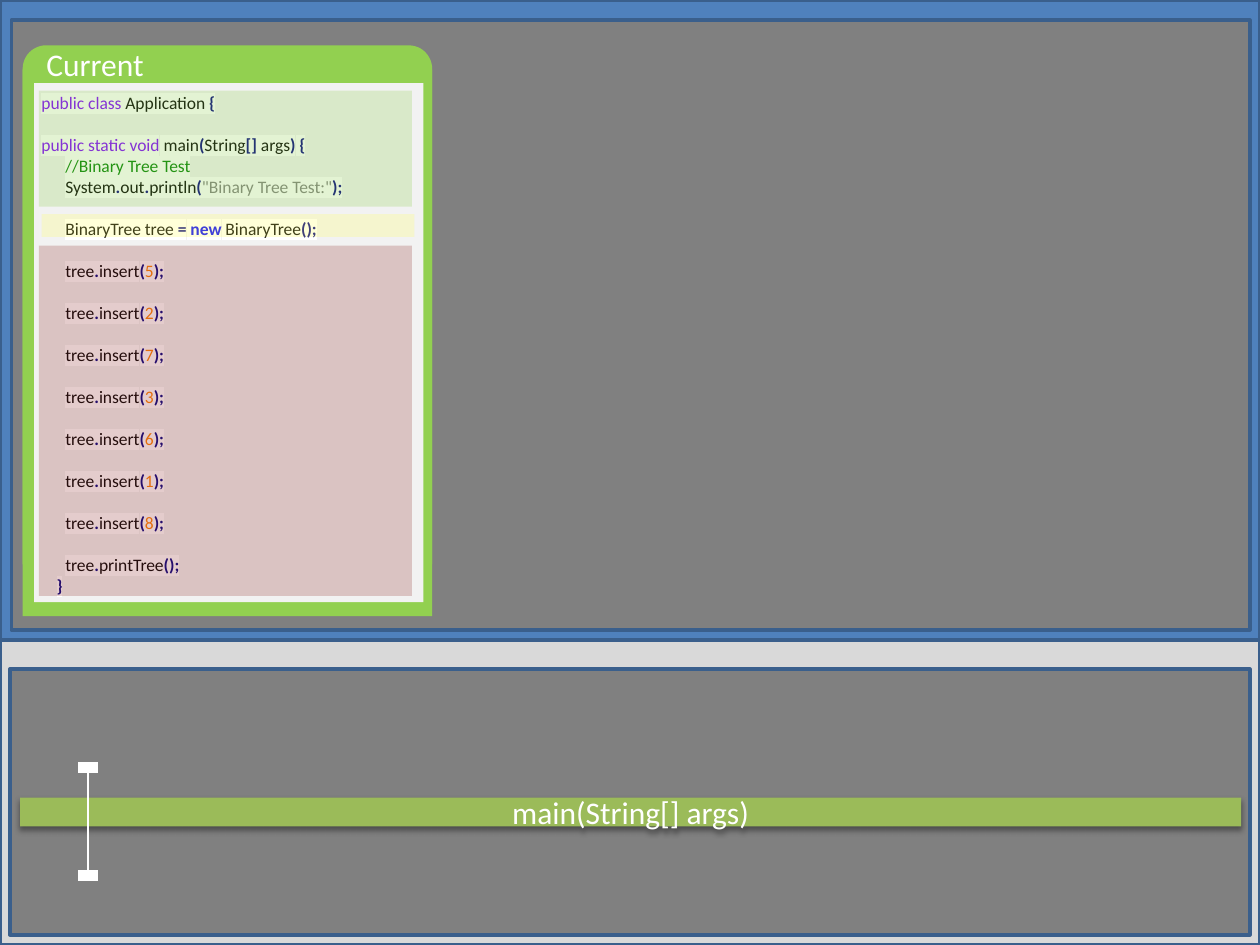
import pptx
import pptx.dml.color
import pptx.enum.shapes
import pptx.enum.text
import pptx.oxml
import pptx.oxml.ns
import pptx.util
from lxml import etree

Inches, Pt = pptx.util.Inches, pptx.util.Pt
SHAPE = pptx.enum.shapes.MSO_SHAPE
ALIGN = pptx.enum.text.PP_ALIGN
ANCHOR = pptx.enum.text.MSO_ANCHOR
qn = pptx.oxml.ns.qn

BORDER, GRAY, GREEN, WHITE = "3A5F8C", "808080", "92D050", "FFFFFF"

# Syntax colours: style -> (colour, bold)
SYNTAX = {
    "plain": ("000000", False),
    "keyword": ("8000FF", False),
    "new": ("0000FF", True),
    "op": ("000080", True),
    "number": ("FF8000", False),
    "string": ("808080", False),
    "comment": ("008000", False),
}


def color(value):
    return pptx.dml.color.RGBColor.from_string(value)


def add_xml_color(parent, value, alpha=None):
    clr = etree.SubElement(parent, qn("a:srgbClr"), val=value)
    if alpha is not None:
        etree.SubElement(clr, qn("a:alpha"), val=str(alpha * 1000))


def add_box(shapes, at, fill, line=None, alpha=None, kind=SHAPE.RECTANGLE):
    sp = shapes.add_shape(kind, *[Inches(v) for v in at])
    sp.shadow.inherit = False
    sp.fill.solid()
    sp.fill.fore_color.rgb = color(fill)
    if alpha is not None:
        clr = sp._element.spPr.find(qn("a:solidFill"))[0]
        etree.SubElement(clr, qn("a:alpha"), val=str(alpha * 1000))
    if line:
        sp.line.color.rgb = color(line)
        sp.line.width = Pt(2)
    else:
        sp.line.fill.background()
    return sp


def add_line(shapes, start, end, width):
    cx = shapes.add_connector(pptx.enum.shapes.MSO_CONNECTOR.STRAIGHT,
                              *[Inches(v) for v in start + end])
    cx.line.color.rgb = color(WHITE)
    cx.line.width = Pt(width)
    etree.SubElement(cx._element.spPr, qn("a:effectLst"))


def add_run(p, text, size=18, fill=WHITE, bold=False, highlight=None):
    r = p.add_run()
    r.text = text
    r.font.name = "Calibri"
    r.font.size = Pt(size)
    r.font.bold = bold
    r.font.color.rgb = color(fill)
    if highlight:
        hl = pptx.oxml.parse_xml(
            '<a:highlight xmlns:a="http://schemas.openxmlformats.org/drawingml/2006/main"/>')
        add_xml_color(hl, highlight)
        r.font._element.find(qn("a:solidFill")).addnext(hl)


def add_textbox(shapes, at):
    tf = shapes.add_textbox(*[Inches(v) for v in at]).text_frame
    tf.word_wrap = True
    return tf


def add_shadow(sp):
    effects = sp._element.spPr.find(qn("a:effectLst"))
    shadow = etree.SubElement(effects, qn("a:outerShdw"), blurRad=str(Pt(3.1)),
                              dist=str(Pt(1.6)), dir="5400000", rotWithShape="0")
    add_xml_color(shadow, "000000", 38)


def call(name, number=None):
    """Tokens of one call on the tree."""
    tokens = [("plain", "tree"), ("op", "."), ("plain", name)]
    if number is None:
        return tokens + [("op", "();")]
    return tokens + [("op", "("), ("number", str(number)), ("op", ");")]


def code_lines():
    """Each line: indent in inches, gap above in points, tokens."""
    head = [
        (0, 0, [("keyword", "public"), ("plain", " "), ("keyword", "class"),
                ("plain", " Application "), ("op", "{")]),
        (0, 12, [("keyword", "public"), ("plain", " "), ("keyword", "static"),
                 ("plain", " "), ("keyword", "void"), ("plain", " main"), ("op", "("),
                 ("plain", "String"), ("op", "[]"), ("plain", " args"), ("op", ")"),
                 ("plain", " "), ("op", "{")]),
        (0.19, 0, [("comment", "//Binary Tree Test")]),
        (0.19, 0, [("plain", "System"), ("op", "."), ("plain", "out"), ("op", "."),
                   ("plain", "println"), ("op", "("),
                   ("string", '"Binary Tree Test:"'), ("op", ");")]),
        (0.19, 12, [("plain", "BinaryTree tree "), ("op", "="), ("plain", " "),
                    ("new", "new"), ("plain", " BinaryTree"), ("op", "();")]),
    ]
    inserts = [(0.19, 12, call("insert", n)) for n in (5, 2, 7, 3, 6, 1, 8)]
    return head + inserts + [(0.19, 12, call("printTree")), (0.12, 0, [("op", "}")])]


def add_code(shapes, at):
    tf = add_textbox(shapes, at)
    for i, (indent, gap, tokens) in enumerate(code_lines()):
        p = tf.add_paragraph() if i else tf.paragraphs[0]
        p.space_before = Pt(gap)
        pPr = p._p.get_or_add_pPr()
        pPr.set("marL", str(Inches(indent)))
        pPr.set("indent", "0")
        for style, text in tokens:
            fill, bold = SYNTAX[style]
            add_run(p, text, size=10, fill=fill, bold=bold, highlight=WHITE)


def add_code_panel(shapes):
    # Green card with a title tab
    card = shapes.add_group_shape().shapes
    tab = add_box(card, (0.18, 0.36, 3.25, 4.12), GREEN, kind=SHAPE.ROUND_2_SAME_RECTANGLE)
    tab.adjustments[0] = 0.057
    add_box(card, (0.18, 0.55, 3.25, 4.34), GREEN)
    add_box(card, (0.27, 0.66, 3.09, 4.12), "F2F2F2")
    add_run(add_textbox(shapes, (0.27, 0.31, 0.98, 0.4)).paragraphs[0], "Current")

    # Code, with tints for current, finished and pending lines
    add_code(shapes, (0.23, 0.68, 2.65, 4.14))
    for left, top, height, fill in ((0.33, 1.7, 0.18, "FFFF66"),
                                    (0.31, 0.72, 0.92, GREEN),
                                    (0.31, 1.95, 2.78, "953735")):
        add_box(shapes, (left, top, 2.96, height), fill, alpha=25)


def add_call_stack(shapes):
    # Stack frame
    bar = add_box(shapes, (0.16, 6.33, 9.69, 0.23), "9BBB59")
    add_shadow(bar)
    tf = bar.text_frame
    tf.vertical_anchor = ANCHOR.MIDDLE
    p = tf.paragraphs[0]
    p.alignment = ALIGN.CENTER
    add_run(p, "main(String[] args)")

    # Range marker
    marker = shapes.add_group_shape().shapes
    top, bottom = 6.09, 6.95
    add_line(marker, (0.7, top), (0.7, bottom), 1)
    for y in (top, bottom):
        add_line(marker, (0.62, y), (0.78, y), 6)


def main():
    prs = pptx.Presentation()
    prs.slide_width, prs.slide_height = Inches(10), Inches(7.5)
    s = prs.slides.add_slide(prs.slide_layouts[6])

    # Framed areas
    for at, fill in (((0, 5.08, 10, 2.42), "D9D9D9"),
                     ((0, 0, 10, 5.08), "4F81BD"),
                     ((0.08, 5.31, 9.84, 2.11), GRAY),
                     ((0.09, 0.16, 9.83, 4.84), GRAY)):
        add_box(s.shapes, at, fill, line=BORDER)

    add_code_panel(s.shapes)
    add_call_stack(s.shapes)
    prs.save("out.pptx")


main()
